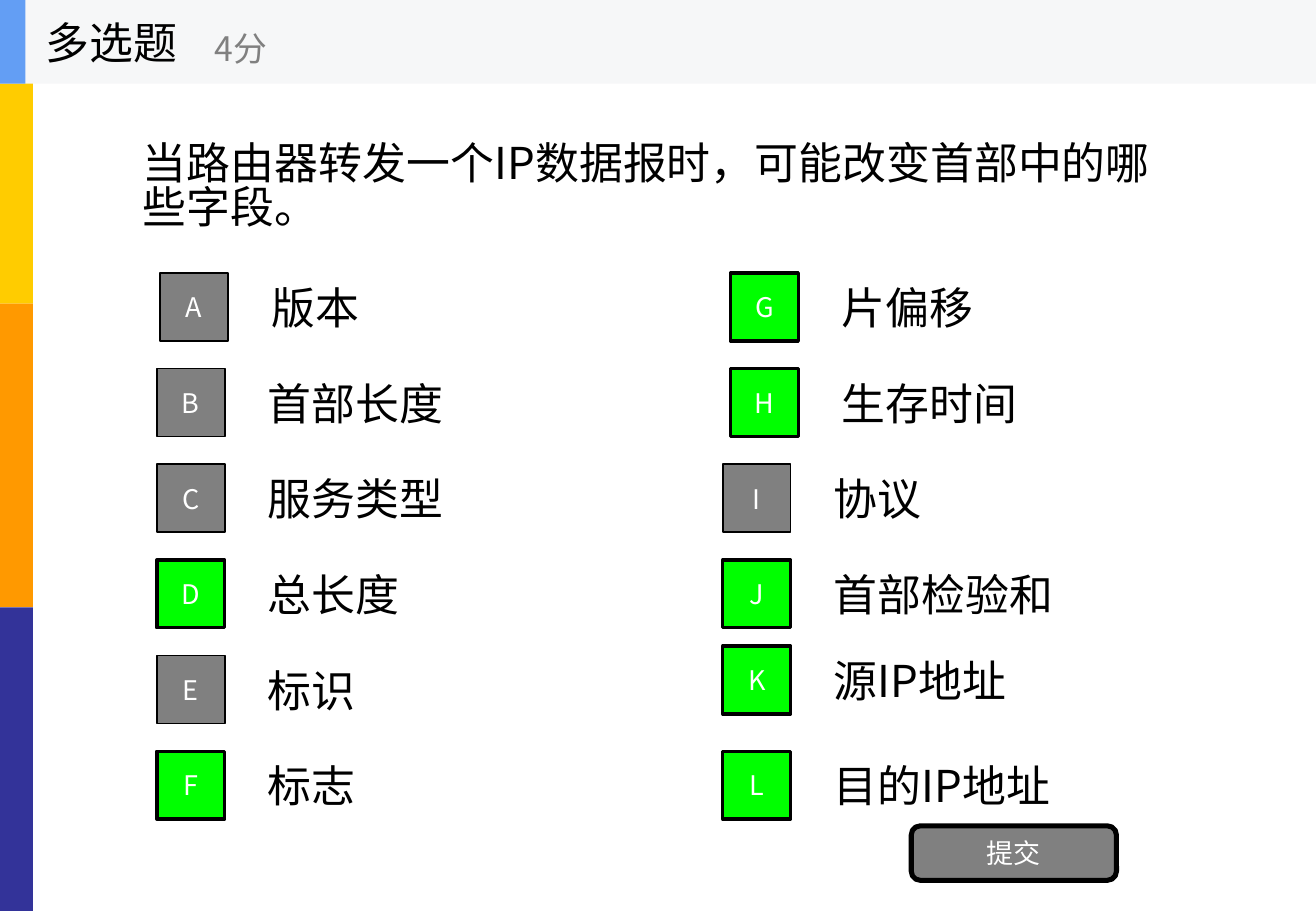
from pptx import Presentation
from pptx.dml.color import RGBColor
from pptx.enum.shapes import MSO_SHAPE
from pptx.enum.text import MSO_ANCHOR, PP_ALIGN
from pptx.oxml.ns import qn
from pptx.util import Cm, Pt

FONT = "Noto Sans CJK SC"
BLACK = RGBColor(0x00, 0x00, 0x00)
WHITE = RGBColor(0xFF, 0xFF, 0xFF)
GRAY = RGBColor(0x80, 0x80, 0x80)
GREEN = RGBColor(0x00, 0xFF, 0x00)
YELLOW = RGBColor(0xFF, 0xCC, 0x00)
ORANGE = RGBColor(0xFF, 0x99, 0x00)
INDIGO = RGBColor(0x33, 0x33, 0x99)
PALE = RGBColor(0xF6, 0xF7, 0xF8)
BLUE = RGBColor(0x63, 0x9E, 0xF4)

presentation = Presentation()
presentation.slide_width = Cm(27.51)
presentation.slide_height = Cm(19.05)
slide = presentation.slides.add_slide(presentation.slide_layouts[6])


def write(shape, text, size, color, align=PP_ALIGN.LEFT):
    """Put one vertically centred paragraph into the shape and return it."""
    frame = shape.text_frame
    frame.word_wrap = True
    frame.vertical_anchor = MSO_ANCHOR.MIDDLE
    paragraph = frame.paragraphs[0]
    paragraph.alignment = align
    run = paragraph.add_run()
    run.text = text
    for name, value in {"name": FONT, "size": Pt(size)}.items():
        setattr(run.font, name, value)
    run.font.color.rgb = color
    east_asian = run.font._element.makeelement(qn("a:ea"), {"typeface": FONT})
    run.font._element.append(east_asian)
    return paragraph


def add_block(kind, box, fill, line_width=0):
    shape = slide.shapes.add_shape(kind, *map(Cm, box))
    shape.shadow.inherit = False
    shape.fill.solid()
    shape.fill.fore_color.rgb = fill
    if line_width:
        shape.line.color.rgb = BLACK
        shape.line.width = Pt(line_width)
    else:
        shape.line.fill.background()
    return shape


# Side stripes and header
for index, color in enumerate([YELLOW, ORANGE, INDIGO]):
    add_block(MSO_SHAPE.RECTANGLE, (0, index * 6.35, 0.69, 6.35), color)
add_block(MSO_SHAPE.RECTANGLE, (0, 0, 27.51, 1.75), PALE)
add_block(MSO_SHAPE.RECTANGLE, (0, 0, 0.53, 1.75), BLUE)

for box, text, size, color in [
    ((0.71, 0, 5.28, 1.75), "多选题", 26, BLACK),
    ((4.24, 0.3, 6.35, 1.42), "4分", 20, GRAY),
]:
    write(slide.shapes.add_textbox(*map(Cm, box)), text, size, color)

# Question
question = slide.shapes.add_textbox(Cm(2.74), Cm(1.75), Cm(22.02), Cm(4.37))
paragraph = write(question, "当路由器转发一个IP数据报时，可能改变首部中的哪些字段。", 26, BLACK)
paragraph.line_spacing = 0.83

# Options: letter, text, left edge of the letter box
OPTIONS = [
    ("A", "版本", 3.35),
    ("B", "首部长度", 3.28),
    ("C", "服务类型", 3.28),
    ("D", "总长度", 3.28),
    ("E", "标识", 3.28),
    ("F", "标志", 3.28),
    ("G", "片偏移", 15.27),
    ("H", "生存时间", 15.27),
    ("I", "协议", 15.11),
    ("J", "首部检验和", 15.11),
    ("K", "源IP地址", 15.11),
    ("L", "目的IP地址", 15.11),
]
CORRECT = "DFGHJKL"
ROWS = 6
FIRST_TOP, ROW_PITCH, BOX_SIZE = 5.71, 2, 1.42
RAISED = {"K": 0.2}

for index, (letter, text, left) in enumerate(OPTIONS):
    top = FIRST_TOP + index % ROWS * ROW_PITCH - RAISED.get(letter, 0)
    fill, line_width = (GREEN, 2) if letter in CORRECT else (GRAY, 1)
    letter_box = add_block(MSO_SHAPE.RECTANGLE, (left, top, BOX_SIZE, BOX_SIZE), fill, line_width)
    write(letter_box, letter, 16, WHITE, PP_ALIGN.CENTER)
    label = slide.shapes.add_textbox(Cm(left + 2.07), Cm(top - 0.18), Cm(7.5), Cm(1.78))
    write(label, text, 26, BLACK)

submit_button = add_block(MSO_SHAPE.ROUNDED_RECTANGLE, (19.05, 17.27, 4.29, 1.14), GRAY, 3)
write(submit_button, "提交", 16, WHITE, PP_ALIGN.CENTER)

presentation.save("out.pptx")
